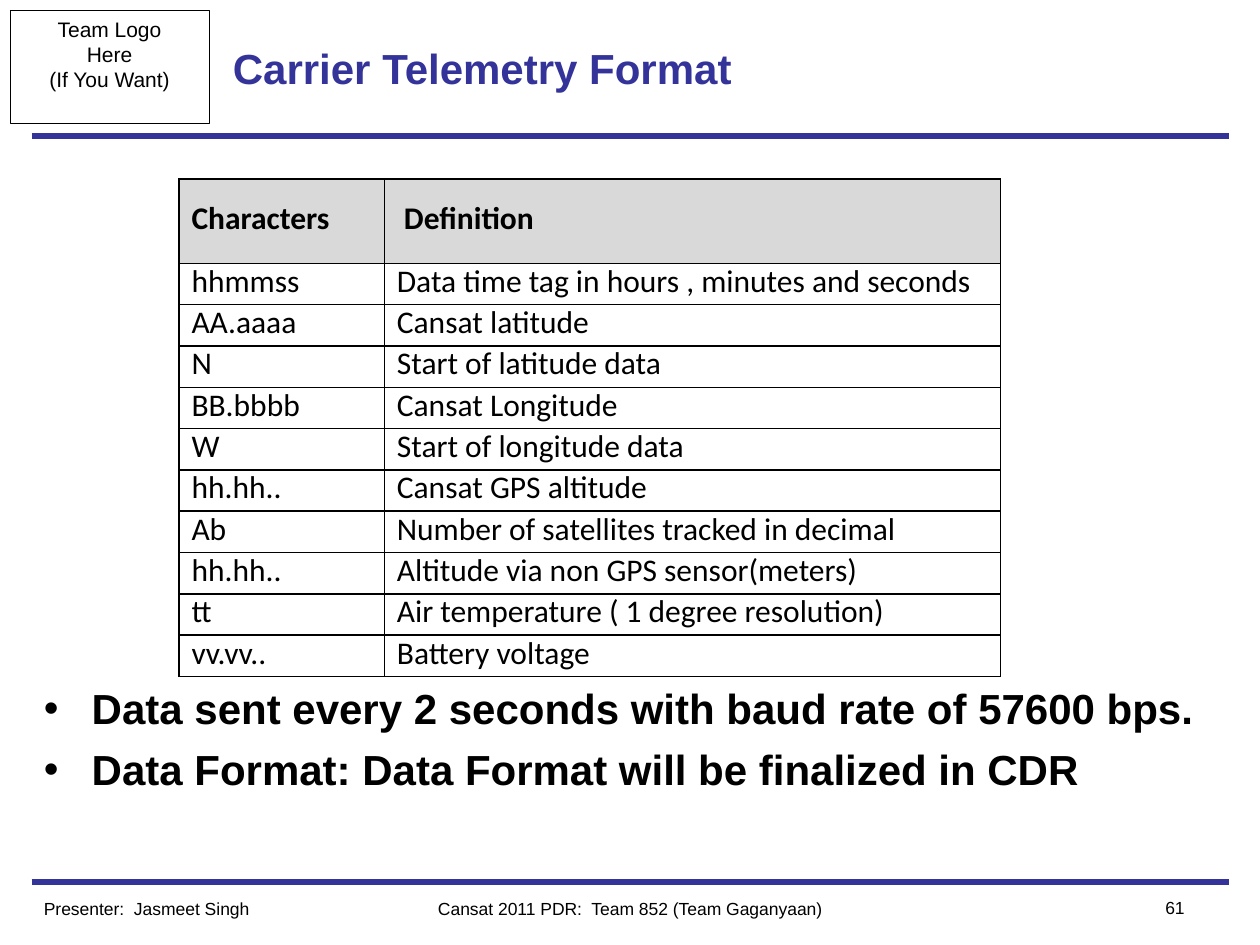
from lxml import etree
from pptx import Presentation
from pptx.dml.color import RGBColor
from pptx.enum.shapes import MSO_CONNECTOR, MSO_SHAPE
from pptx.enum.text import MSO_ANCHOR, PP_ALIGN
from pptx.oxml.ns import qn
from pptx.util import Inches, Pt

LEFT, CENTER, RIGHT = PP_ALIGN.LEFT, PP_ALIGN.CENTER, PP_ALIGN.RIGHT
TOP, MIDDLE = MSO_ANCHOR.TOP, MSO_ANCHOR.MIDDLE
STRAIGHT, RECTANGLE = MSO_CONNECTOR.STRAIGHT, MSO_SHAPE.RECTANGLE

BLACK = RGBColor(0x00, 0x00, 0x00)
NAVY = RGBColor(0x33, 0x33, 0x99)
GRAY = RGBColor(0xD9, 0xD9, 0xD9)

# Content
TITLE = "Carrier Telemetry Format"
LOGO_LINES = ["Team Logo", "Here", "(If You Want)"]
FIELDS = [
    ("Characters", " Definition"),
    ("hhmmss", "Data time tag in hours , minutes and seconds"),
    ("AA.aaaa", "Cansat latitude"),
    ("N", "Start of latitude data"),
    ("BB.bbbb", "Cansat Longitude"),
    ("W", "Start of longitude data"),
    ("hh.hh..", "Cansat GPS altitude"),
    ("Ab", "Number of satellites tracked in decimal"),
    ("hh.hh..", "Altitude via non GPS sensor(meters)"),
    ("tt", "Air temperature ( 1 degree resolution)"),
    ("vv.vv..", "Battery voltage"),
]
BULLETS = [
    "Data sent every 2 seconds with baud rate of 57600 bps.",
    "Data Format: Data Format will be finalized in CDR",
]
# text, left, top, width, alignment
FOOTERS = [
    ("Presenter:  Jasmeet Singh", 0.25, 7.08, 2.5, LEFT),
    ("Cansat 2011 PDR:  Team 852 (Team Gaganyaan)", 3, 7.08, 4, CENTER),
    ("61", 8.75, 7.07, 0.75, RIGHT),
]

# Layout in inches
PAGE_WIDTH, PAGE_HEIGHT = 10, 7.5
MARGIN = 0.25
RULE_HEIGHTS = [1.08, 7]
TABLE_LEFT, TABLE_TOP, TABLE_HEIGHT = 1.42, 1.42, 3.95
COLUMN_WIDTHS = [1.63, 4.89]
HEADER_HEIGHT = 0.67
ROW_HEIGHT = (TABLE_HEIGHT - HEADER_HEIGHT) / (len(FIELDS) - 1)
BULLET_INDENT = 0.38


def add_text(para, text, size, color=BLACK, bold=False, font="Arial"):
    span = para.add_run()
    span.text = text
    span.font.size = Pt(size)
    span.font.name = font
    span.font.bold = bold
    span.font.color.rgb = color


def fill_frame(frame, lines, size, align=LEFT, anchor=TOP, **style):
    frame.word_wrap = True
    frame.vertical_anchor = anchor
    for index, line in enumerate(lines):
        para = frame.add_paragraph() if index else frame.paragraphs[0]
        para.alignment = align
        add_text(para, line, size, **style)


def add_box(page, left, top, width, height):
    return page.shapes.add_textbox(
        Inches(left), Inches(top), Inches(width), Inches(height))


def add_rule(page, height):
    rule = page.shapes.add_connector(
        STRAIGHT, Inches(MARGIN), Inches(height),
        Inches(PAGE_WIDTH - MARGIN), Inches(height))
    rule.line.color.rgb = NAVY
    rule.line.width = Pt(3)
    etree.SubElement(rule._element.spPr, qn("a:effectLst"))


def add_bullet(para):
    properties = para._p.get_or_add_pPr()
    properties.set("marL", str(Inches(BULLET_INDENT)))
    properties.set("indent", str(-Inches(BULLET_INDENT)))
    etree.SubElement(properties, qn("a:buFont"), typeface="Arial")
    etree.SubElement(properties, qn("a:buChar"), char="•")


def set_borders(cell):
    properties = cell._tc.get_or_add_tcPr()
    for position, side in enumerate(("lnL", "lnR", "lnT", "lnB")):
        border = etree.Element(qn("a:" + side), w=str(Pt(1)))
        fill = etree.SubElement(border, qn("a:solidFill"))
        etree.SubElement(fill, qn("a:srgbClr"), val=str(BLACK))
        properties.insert(position, border)


def add_field_table(page):
    table = page.shapes.add_table(
        len(FIELDS), len(COLUMN_WIDTHS), Inches(TABLE_LEFT), Inches(TABLE_TOP),
        Inches(sum(COLUMN_WIDTHS)), Inches(TABLE_HEIGHT)).table
    table.horz_banding = False
    for column, width in zip(table.columns, COLUMN_WIDTHS):
        column.width = Inches(width)
    for row_index, texts in enumerate(FIELDS):
        header = row_index == 0
        row = table.rows[row_index]
        row.height = Inches(HEADER_HEIGHT if header else ROW_HEIGHT)
        for cell, text in zip(row.cells, texts):
            cell.vertical_anchor = MIDDLE
            cell.margin_left = cell.margin_right = Inches(0.1)
            cell.margin_top, cell.margin_bottom = Inches(0.03), Inches(0.05)
            if header:
                cell.fill.solid()
                cell.fill.fore_color.rgb = GRAY
            else:
                cell.fill.background()
            set_borders(cell)
            para = cell.text_frame.paragraphs[0]
            para.line_spacing = 0.82
            add_text(para, text, 18, bold=header, font="Calibri")


def main():
    deck = Presentation()
    deck.slide_width, deck.slide_height = Inches(PAGE_WIDTH), Inches(PAGE_HEIGHT)
    page = deck.slides.add_slide(deck.slide_layouts[6])

    # Rules above and below the content
    for height in RULE_HEIGHTS:
        add_rule(page, height)

    # Logo space
    logo = page.shapes.add_shape(
        RECTANGLE, Inches(0.08), Inches(0.08), Inches(1.58), Inches(0.9))
    logo.shadow.inherit = False
    logo.fill.background()
    logo.line.color.rgb = BLACK
    logo.line.width = Pt(0.5)
    fill_frame(logo.text_frame, LOGO_LINES, 12, CENTER)

    # Title
    title = add_box(page, 1.75, 0.08, 6.5, 0.92)
    fill_frame(title.text_frame, [TITLE], 24, anchor=MIDDLE, color=NAVY, bold=True)

    # Telemetry fields
    add_field_table(page)

    # Bullets directly under the table
    bullets_top = TABLE_TOP + TABLE_HEIGHT
    bullets = add_box(page, MARGIN, bullets_top, PAGE_WIDTH - 2 * MARGIN, 1.47)
    fill_frame(bullets.text_frame, BULLETS, 24, bold=True)
    for index, para in enumerate(bullets.text_frame.paragraphs):
        add_bullet(para)
        if index:
            para.space_before = Pt(6)

    # Footer
    for text, left, top, width, align in FOOTERS:
        footer = add_box(page, left, top, width, 0.27)
        fill_frame(footer.text_frame, [text], 10, align)

    deck.save("out.pptx")


if __name__ == "__main__":
    main()
